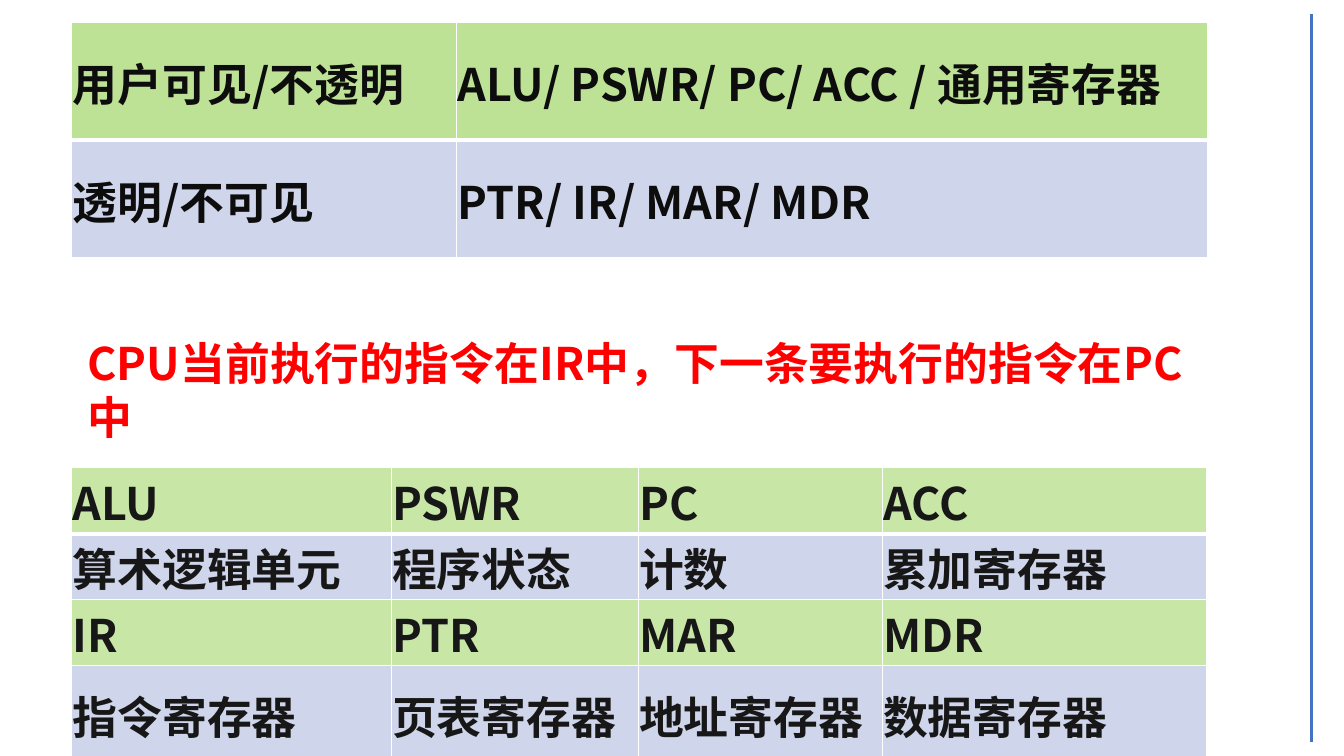
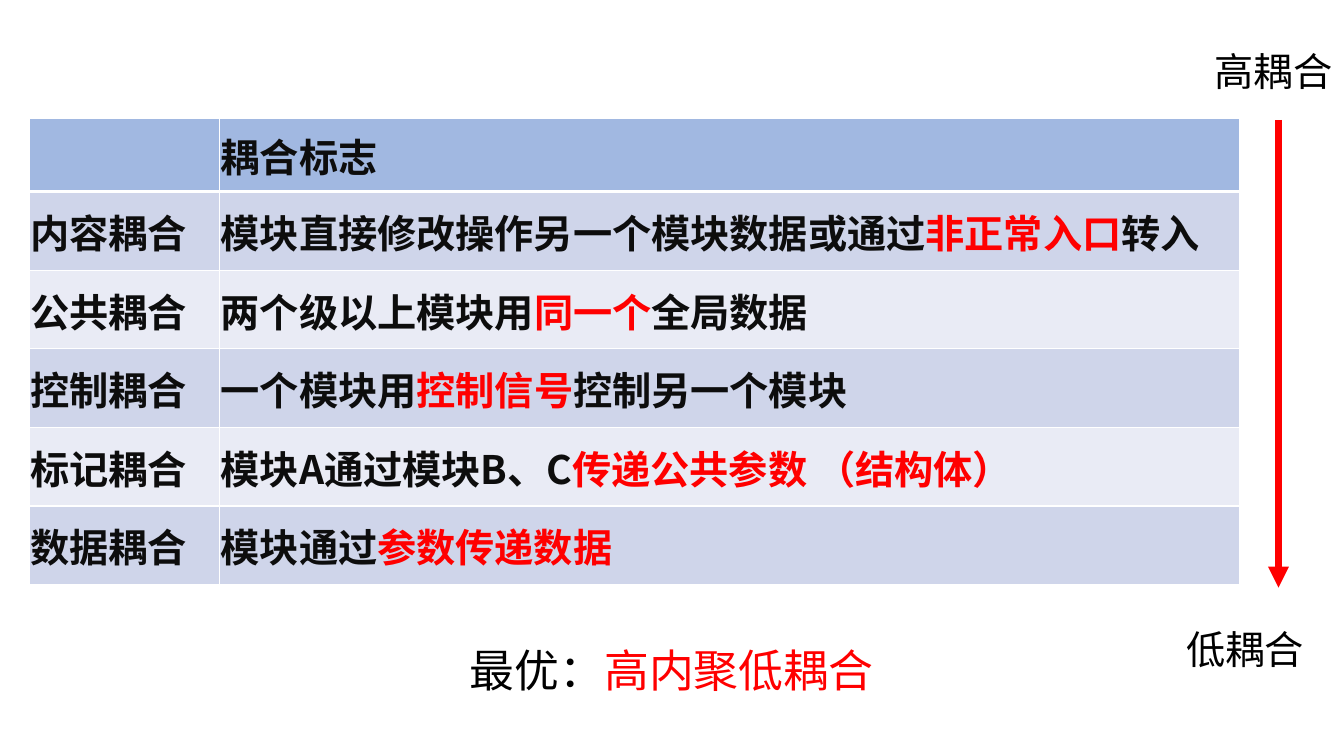
from dataclasses import dataclass

import lxml.etree
import pptx
import pptx.dml.color
import pptx.enum.shapes
import pptx.enum.text
import pptx.oxml
import pptx.oxml.ns
import pptx.util

Inches = pptx.util.Inches
COLORS = {
    "ink": "0D0D0D", "soft_ink": "181717", "black": "000000", "red": "FF0000",
    "blue": "4472C4", "green": "92D050", "white": "FFFFFF",
    "band": "CFD5EA", "pale_band": "E9EBF5",
}
CJK_FONT = "Noto Sans CJK SC"
LATIN_FONT = "Calibri"


@dataclass(frozen=True)
class Span:
    text: str
    color: str


@dataclass(frozen=True)
class TextStyle:
    size: int
    font: str
    bold: bool = False


@dataclass(frozen=True)
class RowFill:
    color: str
    opacity: int = 100


@dataclass(frozen=True)
class Grid:
    left: float
    top: float
    columns: list[float]
    heights: list[float]
    fills: list[RowFill]
    style: TextStyle
    rows: list[list[list[Span]]]


@dataclass(frozen=True)
class Note:
    left: float
    top: float
    width: float
    height: float
    style: TextStyle
    spans: list[Span]
    wrap: bool = False


@dataclass(frozen=True)
class Rule:
    x: float
    top: float
    bottom: float
    color: str
    weight: float
    arrow: bool = False


BOLD_LARGE = TextStyle(32, CJK_FONT, True)
BOLD_MEDIUM = TextStyle(28, CJK_FONT, True)
PLAIN_LARGE = TextStyle(32, LATIN_FONT)
PLAIN_MEDIUM = TextStyle(28, LATIN_FONT)


def rgb(color: str) -> pptx.dml.color.RGBColor:
    return pptx.dml.color.RGBColor.from_string(COLORS[color])


def sub(parent, tag: str, **attributes: str):
    return lxml.etree.SubElement(parent, pptx.oxml.ns.qn(tag), attributes)


def write(frame, spans: list[Span], style: TextStyle) -> None:
    for span in spans:
        run = frame.paragraphs[0].add_run()
        run.text = span.text
        run.font.size = pptx.util.Pt(style.size)
        run.font.bold = style.bold
        run.font.color.rgb = rgb(span.color)
        run.font.name = style.font
        sub(run.font._element, "a:ea", typeface=CJK_FONT)


def add_border(properties, side: str, weight: float) -> None:
    line = sub(properties, f"a:ln{side}", w=str(pptx.util.Pt(weight)))
    fill = sub(line, "a:solidFill")
    sub(fill, "a:srgbClr", val=COLORS["white"])


def paint_cell(cell, fill: RowFill, header: bool) -> None:
    cell.vertical_anchor = pptx.enum.text.MSO_ANCHOR.MIDDLE
    cell.margin_left = cell.margin_right = cell.margin_top = Inches(0.01)
    cell.margin_bottom = 0
    properties = cell._tc.get_or_add_tcPr()
    for side in "LRTB":
        add_border(properties, side, 3 if header and side == "B" else 1)
    cell.fill.solid()
    cell.fill.fore_color.rgb = rgb(fill.color)
    if fill.opacity < 100:
        color = properties.find(pptx.oxml.ns.qn("a:solidFill"))[0]
        sub(color, "a:alpha", val=str(fill.opacity * 1000))


def add_grid(slide, grid: Grid) -> None:
    table = slide.shapes.add_table(
        len(grid.rows), len(grid.columns), Inches(grid.left), Inches(grid.top),
        Inches(sum(grid.columns)), Inches(sum(grid.heights))).table
    table.horz_banding = False
    for column, width in zip(table.columns, grid.columns):
        column.width = Inches(width)
    for index, (row, height) in enumerate(zip(table.rows, grid.heights)):
        row.height = Inches(height)
        for cell, spans in zip(row.cells, grid.rows[index]):
            paint_cell(cell, grid.fills[index], index == 0)
            write(cell.text_frame, spans, grid.style)


def add_note(slide, note: Note) -> None:
    frame = slide.shapes.add_textbox(
        Inches(note.left), Inches(note.top),
        Inches(note.width), Inches(note.height)).text_frame
    frame.word_wrap = note.wrap
    frame.auto_size = pptx.enum.text.MSO_AUTO_SIZE.SHAPE_TO_FIT_TEXT
    write(frame, note.spans, note.style)


def add_rule(slide, rule: Rule) -> None:
    connector = slide.shapes.add_connector(
        pptx.enum.shapes.MSO_CONNECTOR.STRAIGHT, Inches(rule.x),
        Inches(rule.top), Inches(rule.x), Inches(rule.bottom))
    connector.line.color.rgb = rgb(rule.color)
    connector.line.width = pptx.util.Pt(rule.weight)
    if rule.arrow:
        sub(connector.line._get_or_add_ln(), "a:tailEnd", type="triangle")
    sub(connector._element.spPr, "a:effectLst")


def plain_rows(rows: list[list[str]], color: str) -> list[list[list[Span]]]:
    return [[[Span(text, color)] for text in row] for row in rows]


def add_registers(slide) -> None:
    add_grid(slide, Grid(
        0.71, 0.22, [3.82, 7.45], [1.17] * 2,
        [RowFill("green", 60), RowFill("band")], BOLD_LARGE,
        plain_rows([
            ["用户可见/不透明", "ALU/ PSWR/ PC/ ACC / 通用寄存器"],
            ["透明/不可见", "PTR/ IR/ MAR/ MDR"],
        ], "ink")))
    add_grid(slide, Grid(
        0.71, 4.64, [3.17, 2.45, 2.42, 3.22], [0.56] * 3 + [0.97],
        [RowFill("green", 50), RowFill("band")] * 2, BOLD_LARGE,
        plain_rows([
            ["ALU", "PSWR", "PC", "ACC"],
            ["算术逻辑单元", "程序状态", "计数", "累加寄存器"],
            ["IR", "PTR", "MAR", "MDR"],
            ["指令寄存器", "页表寄存器", "地址寄存器", "数据寄存器"],
        ], "soft_ink")))
    add_note(slide, Note(
        0.77, 3.28, 11.14, 0.64, BOLD_LARGE,
        [Span("CPU当前执行的指令在IR中，下一条要执行的指令在PC中", "red")], True))
    add_rule(slide, Rule(13.01, 0.14, 7.36, "blue", 2))


def add_coupling(slide) -> None:
    couplings = [
        ("内容耦合", "模块直接修改操作另一个模块数据或通过", "非正常入口", "转入"),
        ("公共耦合", "两个级以上模块用", "同一个", "全局数据"),
        ("控制耦合", "一个模块用", "控制信号", "控制另一个模块"),
        ("标记耦合", "模块A通过模块B、C", "传递公共参数 （结构体）", ""),
        ("数据耦合", "模块通过", "参数传递数据", ""),
    ]
    rows = [[[], [Span("耦合标志", "ink")]]]
    for kind, lead, key, rest in couplings:
        sign = [Span(lead, "ink"), Span(key, "red")]
        if rest:
            sign.append(Span(rest, "ink"))
        rows.append([[Span(kind, "ink")], sign])
    bands = [RowFill("band"), RowFill("pale_band")]
    add_grid(slide, Grid(
        0.29, 1.17, [1.89, 10.11], [0.73] + [0.78] * len(couplings),
        [RowFill("blue", 50)] + [bands[i % 2] for i in range(len(couplings))],
        BOLD_MEDIUM, rows))
    add_rule(slide, Rule(12.68, 1.19, 5.83, "red", 5, True))
    for left, top, level in [(11.95, 0.42, "高耦合"), (11.67, 6.15, "低耦合")]:
        add_note(slide, Note(left, top, 1.38, 0.57, PLAIN_MEDIUM, [Span(level, "black")]))
    add_note(slide, Note(
        4.56, 6.33, 4.24, 0.64, PLAIN_LARGE,
        [Span("最优：", "black"), Span("高内聚低耦合", "red")]))


def main() -> None:
    deck = pptx.Presentation()
    deck.slide_width = Inches(13.33)
    deck.slide_height = Inches(7.5)
    for fill_slide in (add_registers, add_coupling):
        fill_slide(deck.slides.add_slide(deck.slide_layouts[6]))
    deck.save("out.pptx")


if __name__ == "__main__":
    main()
